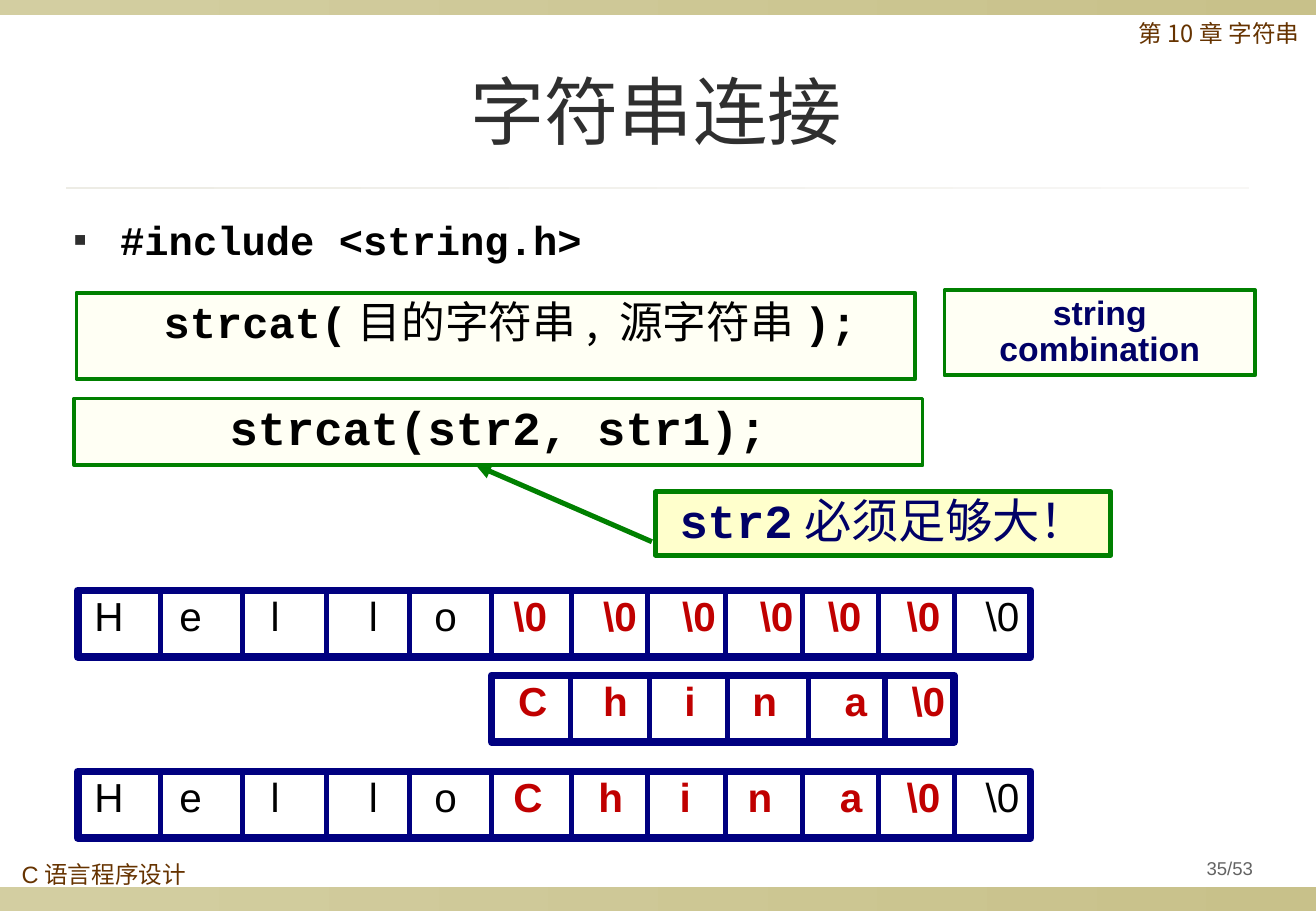
from lxml import etree
from pptx import Presentation
from pptx.dml.color import RGBColor
from pptx.enum.shapes import MSO_CONNECTOR, MSO_SHAPE
from pptx.enum.text import MSO_ANCHOR, MSO_AUTO_SIZE, PP_ALIGN
from pptx.oxml.ns import qn
from pptx.util import Inches, Pt

COLORS = {
    "black": "000000", "title": "2F2F2F", "brown": "663300", "gray": "636363",
    "navy": "000066", "cell": "000080", "green": "008000", "red": "C00000",
    "ivory": "FFFFF4", "yellow": "FFFFCC",
    "band_start": "D3CEA1", "band_end": "C8C18A",
    "rule_start": "EDECE5", "rule_end": "F8F7F5",
}
SANS, MONO, HAN = "Arial", "Courier New", "Noto Sans CJK SC"

# Inner cell borders, and letter offsets from the first letter of a word
CHINA_BORDERS = [4.7, 5.35, 5.99, 6.66, 7.29]
ARRAY_BORDERS = [1.32, 2, 2.69, 3.37, 4.05, 4.71, 5.33, 5.98, 6.61, 7.24, 7.86]
HELLO_STOPS = [0.7, 1.45, 2.26, 2.8]
ZERO_STOPS = [3.45, 4.19, 4.84, 5.48, 6.04, 6.69, 7.34]
CHINA_STOPS = [0.7, 1.37, 1.93, 2.69, 3.24]
JOINED_STOPS = [3.45] + [3.45 + stop for stop in CHINA_STOPS] + [7.34]


def color(name):
    return RGBColor.from_string(COLORS[name])


def add_xml(parent, tag, **attributes):
    return etree.SubElement(parent, qn(tag), attributes)


class SlideBuilder:
    def __init__(self, deck):
        self.page = deck.slides.add_slide(deck.slide_layouts[1])
        self.canvas = self.page.shapes

    def fill_text(self, shape, spans, size, align=PP_ALIGN.LEFT, spacing=0.9,
                  anchor=MSO_ANCHOR.TOP, indent=0, stops=(), bullet=None):
        """Fill a shape with one paragraph of (text, font, color, bold) spans."""
        frame = shape.text_frame
        frame.word_wrap = True
        frame.auto_size = MSO_AUTO_SIZE.NONE
        frame.vertical_anchor = anchor
        para = frame.paragraphs[0]
        para.alignment = align
        para.line_spacing = spacing
        para.space_before = Pt(0)
        properties = para._p.get_or_add_pPr()
        if indent:
            properties.set("marL", str(Inches(indent)))
            properties.set("indent", str(Inches(-indent if bullet else 0)))
        if bullet:
            tint = add_xml(properties, "a:buClr")
            add_xml(tint, "a:srgbClr", val=COLORS["title"])
            add_xml(properties, "a:buSzPct", val="50000")
            add_xml(properties, "a:buFont", typeface=SANS)
            add_xml(properties, "a:buChar", char=bullet)
        if stops:
            tabs = add_xml(properties, "a:tabLst")
            for stop in stops:
                add_xml(tabs, "a:tab", pos=str(Inches(stop)), algn="l")
        for text, font, tone, bold in spans:
            span = para.add_run()
            span.text = text
            span.font.size = Pt(size)
            span.font.bold = bold
            span.font.color.rgb = color(tone)
            span.font.name = font
            add_xml(span._r.get_or_add_rPr(), "a:ea", typeface=HAN)

    def placeholder(self, index, area, spans, size, **style):
        shape = self.page.placeholders[index]
        shape.left, shape.top, shape.width, shape.height = map(Inches, area)
        self.fill_text(shape, spans, size, **style)

    def text(self, area, spans, size, **style):
        shape = self.canvas.add_textbox(*map(Inches, area))
        self.fill_text(shape, spans, size, **style)

    def box(self, area, line, weight, fill=None):
        shape = self.canvas.add_shape(MSO_SHAPE.RECTANGLE, *map(Inches, area))
        shape.shadow.inherit = False
        shape.line.color.rgb = color(line)
        shape.line.width = Pt(weight)
        if fill:
            shape.fill.solid()
            shape.fill.fore_color.rgb = color(fill)
        else:
            shape.fill.background()
        return shape

    def band(self, area, start, end):
        shape = self.canvas.add_shape(MSO_SHAPE.RECTANGLE, *map(Inches, area))
        shape.shadow.inherit = False
        shape.line.fill.background()
        shape.fill.gradient()
        shape.fill.gradient_angle = 0
        for stop, tone in zip(shape.fill.gradient_stops, (start, end)):
            stop.color.rgb = color(tone)

    def line(self, start, end, tone, arrow=False):
        connector = self.canvas.add_connector(
            MSO_CONNECTOR.STRAIGHT, *map(Inches, (*start, *end)))
        connector.line.color.rgb = color(tone)
        connector.line.width = Pt(3)
        outline = connector._element.spPr.find(qn("a:ln"))
        if arrow:
            add_xml(outline, "a:tailEnd", type="triangle")
        add_xml(connector._element.spPr, "a:effectLst")

    def memory_row(self, left, top, width, borders, text_left, spans, stops):
        """Draw a character array: frame, cell borders and tabbed letters."""
        height = 0.55
        self.canvas = self.page.shapes.add_group_shape().shapes
        self.box((left, top, width, height), "cell", 4.5)
        for border in borders:
            self.line((border, top), (border, top + height), "cell")
        self.text((text_left, top, width + 0.13, 0.46), spans, 24, stops=stops)
        self.canvas = self.page.shapes


def main():
    deck = Presentation()
    deck.slide_width, deck.slide_height = Inches(10.84), Inches(7.5)
    slide = SlideBuilder(deck)
    center, middle = PP_ALIGN.CENTER, MSO_ANCHOR.MIDDLE

    # Page frame: bands, chapter, course and page number
    slide.band((0, 7.3, 10.84, 0.2), "band_start", "band_end")
    slide.band((0, 0, 10.84, 0.12), "band_start", "band_end")
    slide.band((0.54, 1.54, 9.75, 0.02), "rule_start", "rule_end")
    slide.text((9.28, 0.13, 1.73, 0.39),
               [("第10章 字符串", HAN, "brown", False)], 14)
    slide.text((0.08, 7.06, 1.7, 0.32),
               [("C语言程序设计", SANS, "brown", False)], 14)
    slide.text((9.59, 7, 1.08, 0.31), [("35/53", SANS, "gray", False)], 11,
               align=center, anchor=middle)

    # Title and header line
    slide.placeholder(0, (0.53, 0.28, 9.75, 1.25),
                      [("字符串连接", SANS, "title", False)], 44,
                      align=center, anchor=middle, spacing=1.0)
    slide.placeholder(1, (0.51, 1.7, 10.02, 0.63),
                      [("#include <string.h>", MONO, "black", True)], 24,
                      spacing=1.05, indent=0.38, bullet="■")

    # Syntax, its meaning and a sample call
    syntax = slide.box((0.63, 2.41, 6.91, 0.71), "green", 2.25, "ivory")
    slide.fill_text(syntax, [("strcat(", MONO, "black", True),
                             ("目的字符串, 源字符串", HAN, "black", False),
                             (");", MONO, "black", True)],
                    25.9, spacing=0.95, indent=0.62)
    meaning = slide.box((7.78, 2.39, 2.56, 0.7), "green", 2.25, "ivory")
    slide.fill_text(meaning, [("string combination", SANS, "navy", True)], 20,
                    align=center)
    call = slide.box((0.61, 3.28, 6.99, 0.55), "green", 2.25, "ivory")
    slide.fill_text(call, [("strcat(str2, str1);", MONO, "black", True)], 28,
                    align=center)

    # Warning with its arrow
    slide.line((5.37, 4.46), (3.92, 3.83), "green", arrow=True)
    warning = slide.box((5.4, 4.05, 3.75, 0.52), "green", 3, "yellow")
    slide.fill_text(warning, [("str2", MONO, "navy", True),
                              ("必须足够大！", HAN, "navy", False)], 28,
                    align=center)

    # Arrays before joining, the source string, and the result
    hello = ("H\te\tl\tl\to\t", SANS, "black", False)
    zeros = ("\\0\t" * 6, SANS, "red", True)
    china = ("C\th\ti\tn\ta\t\\0", SANS, "red", True)
    gap = ("\t", SANS, "red", True)
    last = ("\\0", SANS, "black", False)
    slide.memory_row(0.64, 4.86, 7.85, ARRAY_BORDERS, 0.68,
                     [hello, zeros, last], HELLO_STOPS + ZERO_STOPS)
    slide.memory_row(4.05, 5.56, 3.81, CHINA_BORDERS, 4.17,
                     [china], CHINA_STOPS)
    slide.memory_row(0.64, 6.35, 7.85, ARRAY_BORDERS, 0.68,
                     [hello, china, gap, last], HELLO_STOPS + JOINED_STOPS)

    deck.save("out.pptx")


if __name__ == "__main__":
    main()
